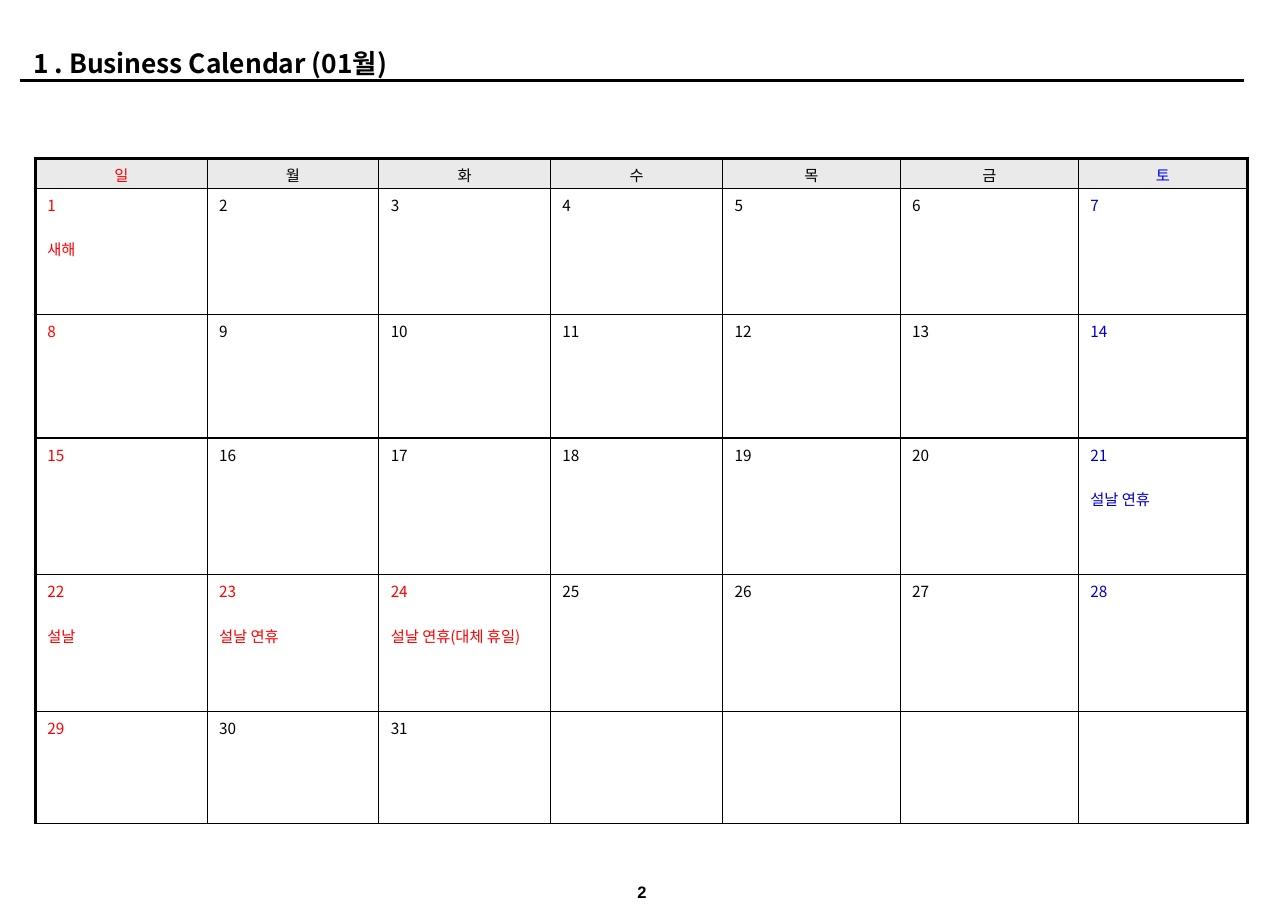
from lxml import etree
from pptx import Presentation, util as u
from pptx.dml.color import RGBColor
from pptx.enum import shapes, text
from pptx.oxml.ns import qn

BLACK = RGBColor(0, 0, 0)
RED = RGBColor(255, 0, 0)
BLUE = RGBColor(0, 0, 255)
NAVY = RGBColor(0, 0, 204)
GREY = RGBColor(234, 234, 234)
KOREAN = "Noto Sans CJK KR"
MID = text.MSO_ANCHOR.MIDDLE
CENTER = text.PP_ALIGN.CENTER
DAYS = "일월화수목금토"
NOTES = {1: "새해", 21: "설날 연휴", 22: "설날", 23: "설날 연휴", 24: "설날 연휴(대체 휴일)"}
WIDTHS = [112.1, 112.1, 112.1, 112.5, 115.9, 116.4, 110.2]
HEIGHTS = [19.5, 82.6, 80.4, 89.4, 89.4, 72.8]
INSET = {"margin_left": u.Pt(7.8), "margin_right": u.Pt(7.8),
         "margin_top": u.Pt(3.6), "margin_bottom": u.Pt(3.6)}


def style(item, vals):
    """Set each named attribute of an item."""
    for name, val in vals.items():
        setattr(item, name, val)


def write(para, words, size, color, bold=False, face=KOREAN):
    """Add one styled run to a paragraph."""
    run = para.add_run()
    run.text = words
    style(run.font, {"name": face, "size": u.Pt(size), "bold": bold})
    run.font.color.rgb = color
    etree.SubElement(run.font._element, qn("a:ea"), typeface=face)


def add_label(slide, box, frame, words, align, **font):
    """Add a text box with one line of text."""
    label = slide.shapes.add_textbox(*map(u.Pt, box)).text_frame
    style(label, {"vertical_anchor": MID, **frame})
    para = label.paragraphs[0]
    para.alignment = align
    write(para, words, **font)


def add_rule(slide, left, right, top):
    """Draw the line under the title."""
    rule = slide.shapes.add_connector(
        shapes.MSO_CONNECTOR.STRAIGHT, *map(u.Pt, (left, top, right, top)))
    rule.line.width = u.Pt(1.5)
    rule.line.color.rgb = BLACK
    etree.SubElement(rule._element.spPr, qn("a:effectLst"))


def edge(cell, widths):
    """Draw black borders round a cell."""
    props = cell._tc.get_or_add_tcPr()
    for side, width in widths.items():
        line = etree.SubElement(props, qn("a:ln" + side), w=str(u.Pt(width)))
        fill = etree.SubElement(line, qn("a:solidFill"))
        etree.SubElement(fill, qn("a:srgbClr"), val=str(BLACK))


def fill_head(cell, col):
    """Write the name of a weekday."""
    style(cell, {"vertical_anchor": MID, "margin_bottom": u.Pt(1)})
    cell.fill.solid()
    cell.fill.fore_color.rgb = GREY
    para = cell.text_frame.paragraphs[0]
    para.alignment = CENTER
    write(para, DAYS[col], 10, {0: RED, 6: BLUE}.get(col, BLACK))


def fill_day(cell, row, col):
    """Write a date and its holiday, if any."""
    cell.fill.background()
    day = (row - 1) * 7 + col + 1
    if day > 31:
        return
    note = NOTES.get(day)
    color = NAVY if col == 6 else RED if col == 0 or note else BLACK
    frame = cell.text_frame
    write(frame.paragraphs[0], str(day), 10, color)
    if note:
        para = frame.add_paragraph()
        para.space_before = u.Pt(14.4)
        write(para, note, 10, color)


def add_month(slide, left, top):
    """Build the calendar table."""
    box = map(u.Pt, (left, top, sum(WIDTHS), sum(HEIGHTS)))
    table = slide.shapes.add_table(len(HEIGHTS), len(WIDTHS), *box).table
    style(table, {"first_row": False, "horz_banding": False})
    for col, width in zip(table.columns, WIDTHS):
        col.width = u.Pt(width)
    for r, height in enumerate(HEIGHTS):
        table.rows[r].height = u.Pt(height)
        for c in range(len(WIDTHS)):
            cell = table.cell(r, c)
            style(cell, INSET)
            edge(cell, {"L": 2 if c == 0 else 1, "R": 2 if c == 6 else 1,
                        "T": 2 if r == 0 else 1, "B": 1})
            if r:
                fill_day(cell, r, c)
            else:
                fill_head(cell, c)


def main():
    """Build and save the slide."""
    deck = Presentation()
    style(deck, {"slide_width": u.Pt(841), "slide_height": u.Pt(594.7)})
    slide = deck.slides.add_slide(deck.slide_layouts[6])
    add_rule(slide, 13, 812.2, 52.6)
    add_label(slide, (398.2, 569.5, 41.8, 25.2), {"word_wrap": False}, "2",
              CENTER, size=10.8, color=BLACK, bold=True, face="Arial")
    fit = {"word_wrap": True, "auto_size": text.MSO_AUTO_SIZE.SHAPE_TO_FIT_TEXT}
    add_label(slide, (13.9, 26.6, 760.3, 28.8), {**INSET, **fit},
              "1 . Business Calendar (01월)", text.PP_ALIGN.LEFT,
              size=17.2, color=BLACK, bold=True)
    add_month(slide, 23.2, 103.4)
    deck.save("out.pptx")


main()
